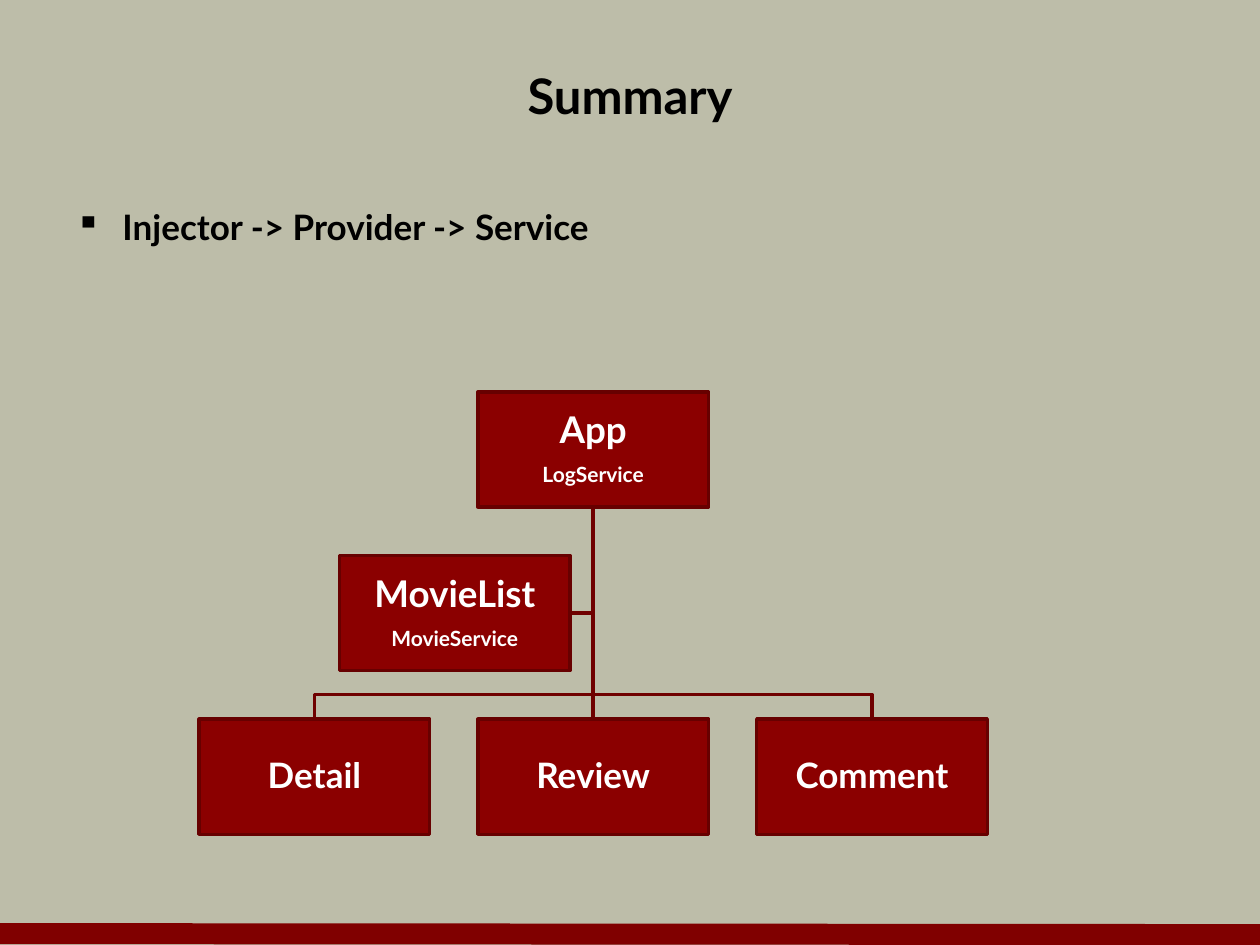
from dataclasses import dataclass

import pptx
import pptx.dml.color
import pptx.enum.shapes
import pptx.enum.text
import pptx.oxml.ns
import pptx.util
from lxml import etree

Cm, Pt = pptx.util.Cm, pptx.util.Pt
Color = pptx.dml.color.RGBColor.from_string
Align = pptx.enum.text.PP_ALIGN
Anchor = pptx.enum.text.MSO_ANCHOR


@dataclass(frozen=True)
class Theme:
    font: str = "Lato"
    background: str = "BDBDA9"
    ink: str = "000000"
    footer: str = "800000"
    node_fill: str = "8B0000"
    node_line: str = "670000"
    branch: str = "6F0000"
    node_text: str = "FFFFFF"
    title_size: float = 28
    body_size: float = 20
    service_size: float = 12
    line_width: float = 2
    footer_width: float = 12


THEME = Theme()
NODE_WIDTH, NODE_HEIGHT = 4.65, 2.32
COLUMN_STEP = 5.62
TRUNK = 11.96
APP_TOP, LIST_TOP, CHILD_TOP = 7.9, 11.2, 14.5
APP_BOTTOM = APP_TOP + NODE_HEIGHT
BRANCH_Y = 14.0


@dataclass(frozen=True)
class Node:
    name: str
    center: float
    top: float
    size: float = 20
    service: str = ""


CHILDREN = [
    Node(name, TRUNK + (column - 1) * COLUMN_STEP, CHILD_TOP)
    for column, name in enumerate(("Detail", "Review", "Comment"))
]
APP = Node("App", TRUNK, APP_TOP, 21, "LogService")
MOVIE_LIST = Node("MovieList", TRUNK - COLUMN_STEP / 2 + 0.02, LIST_TOP, 21, "MovieService")


def add_span(para, text: str, size: float, color: str) -> None:
    span = para.add_run()
    span.text = text
    span.font.name = THEME.font
    span.font.size = Pt(size)
    span.font.bold = True
    span.font.color.rgb = Color(color)


def add_text_box(page, top: float, height: float, anchor):
    """Add a full-width text box and return its first paragraph."""
    box = page.shapes.add_textbox(Cm(1.27), Cm(top), Cm(22.86), Cm(height))
    box.text_frame.word_wrap = True
    box.text_frame.vertical_anchor = anchor
    return box.text_frame.paragraphs[0]


def add_bullet(para, symbol: str) -> None:
    properties = para._p.get_or_add_pPr()
    properties.set("marL", str(Cm(0.95)))
    properties.set("indent", str(-Cm(0.95)))
    bullet = etree.SubElement(properties, pptx.oxml.ns.qn("a:buChar"))
    bullet.set("char", symbol)


def add_footer(page) -> None:
    footer = page.shapes.add_connector(
        pptx.enum.shapes.MSO_CONNECTOR.STRAIGHT, Cm(0), Cm(18.82), Cm(25.4), Cm(18.84)
    )
    footer.line.color.rgb = Color(THEME.footer)
    footer.line.width = Pt(THEME.footer_width)
    etree.SubElement(footer._element.spPr, pptx.oxml.ns.qn("a:effectLst"))


def add_branch(page, points: list[tuple[float, float]]) -> None:
    """Draw an open elbow line through points given in centimetres."""
    start, *rest = [(Cm(x), Cm(y)) for x, y in points]
    builder = page.shapes.build_freeform(*start)
    builder.add_line_segments(rest, close=False)
    branch = builder.convert_to_shape()
    branch.shadow.inherit = False
    branch.fill.background()
    branch.line.color.rgb = Color(THEME.branch)
    branch.line.width = Pt(THEME.line_width)


def add_node(page, node: Node) -> None:
    box = page.shapes.add_shape(
        pptx.enum.shapes.MSO_SHAPE.RECTANGLE,
        Cm(node.center - NODE_WIDTH / 2), Cm(node.top), Cm(NODE_WIDTH), Cm(NODE_HEIGHT),
    )
    box.shadow.inherit = False
    box.fill.solid()
    box.fill.fore_color.rgb = Color(THEME.node_fill)
    box.line.color.rgb = Color(THEME.node_line)
    box.line.width = Pt(THEME.line_width)

    frame = box.text_frame
    frame.word_wrap = True
    frame.vertical_anchor = Anchor.MIDDLE
    frame.margin_left = frame.margin_right = Cm(0.03)
    frame.margin_top = frame.margin_bottom = Cm(0.03)
    lines = [(node.name, node.size)]
    if node.service:
        lines.append((node.service, THEME.service_size))
    for index, (text, size) in enumerate(lines):
        para = frame.add_paragraph() if index else frame.paragraphs[0]
        para.alignment = Align.CENTER
        para.line_spacing = 0.9
        para.space_after = Pt(round(size * 0.35, 1))
        add_span(para, text, size, THEME.node_text)


def main() -> None:
    deck = pptx.Presentation()
    deck.slide_width, deck.slide_height = Cm(25.4), Cm(19.05)
    page = deck.slides.add_slide(deck.slide_layouts[6])
    page.background.fill.solid()
    page.background.fill.fore_color.rgb = Color(THEME.background)
    add_footer(page)

    title = add_text_box(page, 0.85, 2.12, Anchor.MIDDLE)
    title.alignment = Align.CENTER
    add_span(title, "Summary", THEME.title_size, THEME.ink)

    body = add_text_box(page, 4.02, 12.5, Anchor.TOP)
    body.space_before = Pt(4)
    add_bullet(body, "▪")
    add_span(body, "Injector -> Provider -> Service", THEME.body_size, THEME.ink)

    list_middle = LIST_TOP + NODE_HEIGHT / 2
    list_right = MOVIE_LIST.center + NODE_WIDTH / 2
    add_branch(page, [(TRUNK, APP_BOTTOM), (TRUNK, list_middle), (list_right, list_middle)])
    for child in CHILDREN:
        elbow = [(TRUNK, BRANCH_Y), (child.center, BRANCH_Y)] if child.center != TRUNK else []
        add_branch(page, [(TRUNK, APP_BOTTOM), *elbow, (child.center, CHILD_TOP)])
    for node in (APP, *CHILDREN, MOVIE_LIST):
        add_node(page, node)

    deck.save("out.pptx")


if __name__ == "__main__":
    main()
